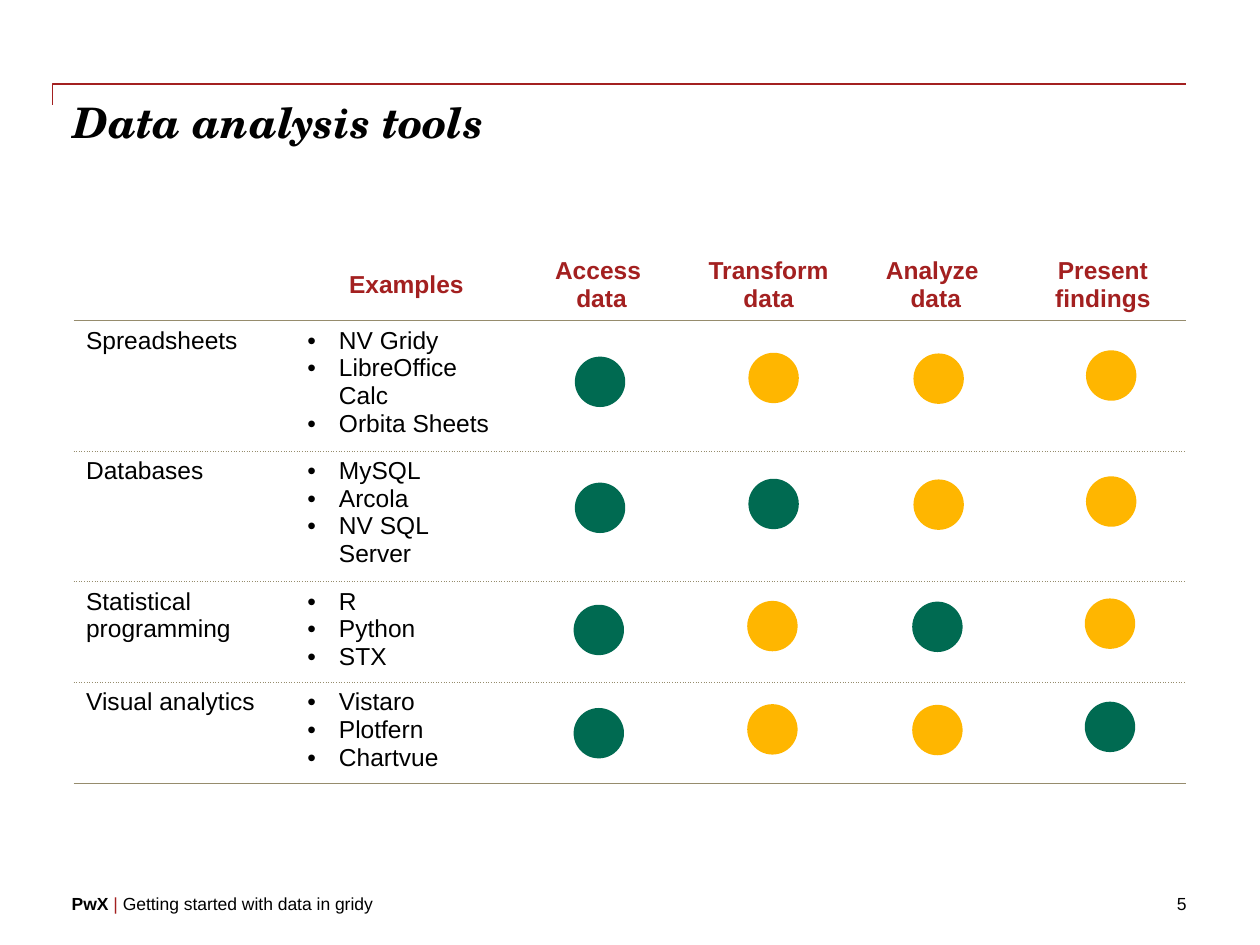
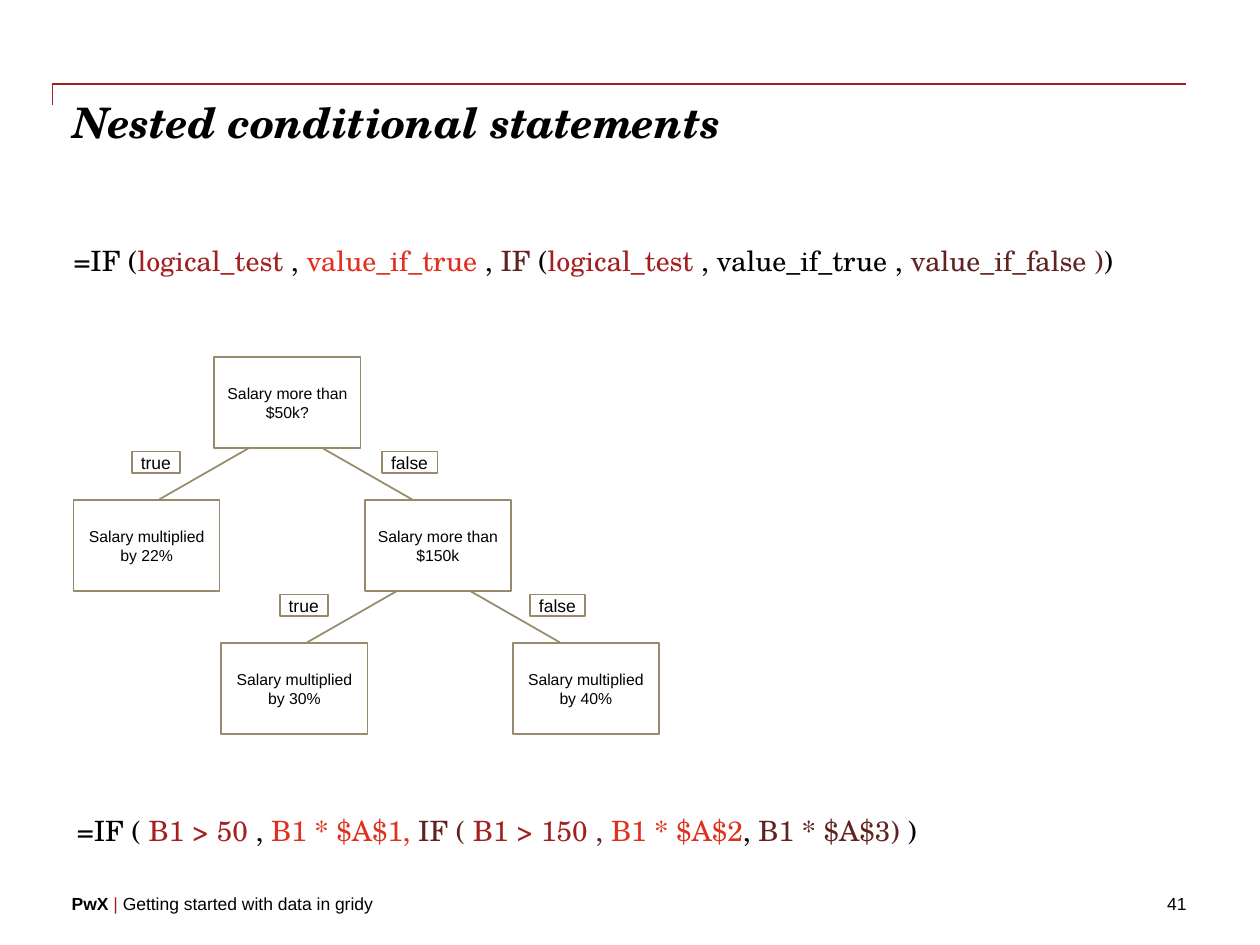
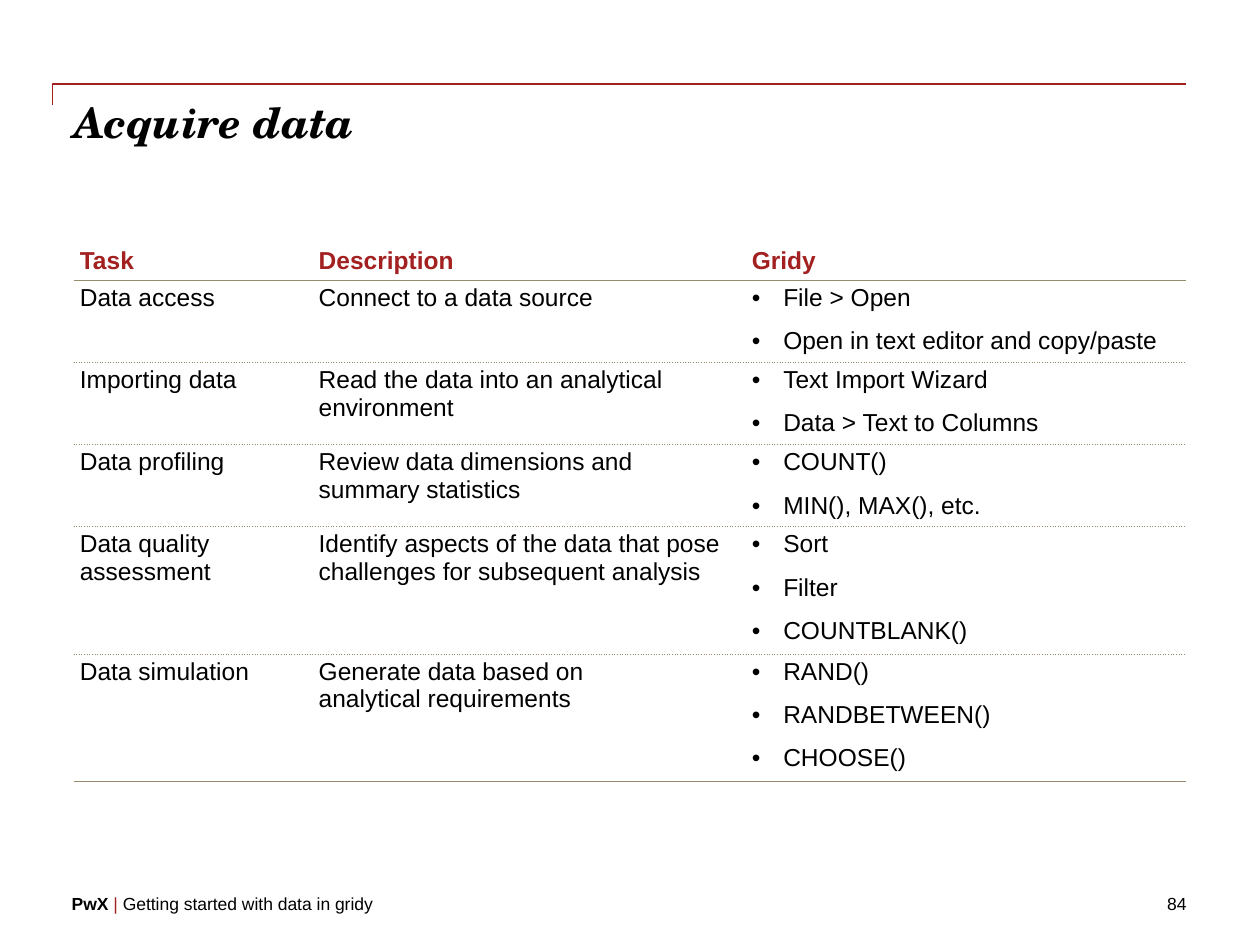
import itertools

import lxml.etree
import pptx
import pptx.dml.color
import pptx.enum.shapes
import pptx.enum.text
import pptx.oxml.ns
import pptx.util

Pt = pptx.util.Pt
qn = pptx.oxml.ns.qn
ALIGN = pptx.enum.text.PP_ALIGN
ANCHOR = pptx.enum.text.MSO_ANCHOR
AUTO_SIZE = pptx.enum.text.MSO_AUTO_SIZE
SHAPE = pptx.enum.shapes.MSO_SHAPE
CONNECTOR = pptx.enum.shapes.MSO_CONNECTOR

COLORS = {
    "text": "000000",
    "page": "FFFFFF",
    "red": "A32020",
    "orange": "E0301E",
    "maroon": "602320",
    "tan": "968C6D",
    "green": "006A51",
    "yellow": "FFB600",
}
SANS = "Arial"
SERIF = "TeX Gyre Schola"
NO_TABLE_STYLE = "{2D5ABB26-0587-4C30-8999-92F81FD0307C}"
TITLE_ONLY, TITLE_AND_BODY = 5, 1
LEFT, WIDTH = 42, 636


def rgb(name):
    return pptx.dml.color.RGBColor.from_string(COLORS[name])


def set_values(target, values):
    for name, value in values.items():
        setattr(target, name, value)


class Slides:
    def __init__(self):
        self.deck = pptx.Presentation()
        set_values(self.deck, {"slide_width": Pt(720), "slide_height": Pt(540)})
        self.page = None

    def start(self, title, number, layout=TITLE_ONLY):
        self.page = self.deck.slides.add_slide(self.deck.slide_layouts[layout])
        self.corner_rule()
        self.text((41, 510, 517, 12), [("PwX ", "text", True), ("| ", "red"),
                  ("Getting started with data in gridy", "text")], size=10)
        self.placeholder(0, (LEFT, 55, WIDTH, 29), [(title, "text", True)],
                         size=24, font=SERIF, italic=True)
        self.text((558, 510, 120, 12), [(str(number), "text")], size=10,
                  align=ALIGN.RIGHT)

    def line(self, start, end, color="tan", kind=CONNECTOR.STRAIGHT):
        line = self.page.shapes.add_connector(kind, *map(Pt, start + end))
        line.line.color.rgb = rgb(color)
        line.line.width = Pt(1)
        lxml.etree.SubElement(line._element.spPr, qn("a:effectLst"))
        return line

    def corner_rule(self):
        rule = self.line((360, 378), (348, -270), "red", CONNECTOR.ELBOW)
        properties = rule._element.spPr
        properties.find(qn("a:xfrm")).set("rot", "5400000")
        properties.find(qn("a:prstGeom")).set("prst", "bentConnector2")

    def style_span(self, span, color, bold, size, font, italic=None):
        set_values(span.font, {"name": font, "size": Pt(size), "bold": bold,
                               "italic": italic})
        span.font.color.rgb = rgb(color)

    def fill_frame(self, frame, spans, size, font=SANS, align=ALIGN.LEFT,
                   italic=None, anchor=ANCHOR.TOP, side=0, wrap=True,
                   grow=False, after=0):
        set_values(frame, {
            "margin_left": Pt(side), "margin_right": Pt(side),
            "margin_top": 0, "margin_bottom": 0, "word_wrap": wrap,
            "vertical_anchor": anchor,
            "auto_size": AUTO_SIZE.SHAPE_TO_FIT_TEXT if grow else AUTO_SIZE.NONE,
        })
        para = frame.paragraphs[0]
        set_values(para, {"alignment": align, "space_after": Pt(after)})
        for words, color, *bold in spans:
            span = para.add_run()
            span.text = words
            self.style_span(span, color, bool(bold), size, font, italic)
        return para

    def text(self, place, spans, **style):
        box = self.page.shapes.add_textbox(*map(Pt, place))
        self.fill_frame(box.text_frame, spans, **style)

    def placeholder(self, index, place, spans, **style):
        box = self.page.placeholders[index]
        set_values(box, dict(zip(("left", "top", "width", "height"),
                                 map(Pt, place))))
        para = self.fill_frame(box.text_frame, spans, grow=True, **style)
        properties = para._p.get_or_add_pPr()
        properties.set("marL", "0")
        properties.set("indent", "0")
        lxml.etree.SubElement(properties, qn("a:buNone"))
        para.space_before = Pt(0)

    def shape(self, kind, place, fill=None, line=None):
        shape = self.page.shapes.add_shape(kind, *map(Pt, place))
        shape.shadow.inherit = False
        if fill:
            shape.fill.solid()
            shape.fill.fore_color.rgb = rgb(fill)
        else:
            shape.fill.background()
        if line:
            shape.line.color.rgb = rgb(line)
            shape.line.width = Pt(1)
        else:
            shape.line.fill.background()
        return shape

    def framed_text(self, place, words, **style):
        box = self.shape(SHAPE.RECTANGLE, place, line="tan")
        self.fill_frame(box.text_frame, [(words, "text")], side=5,
                        anchor=ANCHOR.MIDDLE, **style)

    def border(self, cell, side, dash):
        edge = lxml.etree.SubElement(cell._tc.get_or_add_tcPr(),
                                     qn(f"a:{side}"), w=str(Pt(0.75)))
        fill = lxml.etree.SubElement(edge, qn("a:solidFill"))
        lxml.etree.SubElement(fill, qn("a:srgbClr"), val=COLORS["tan"])
        lxml.etree.SubElement(edge, qn("a:prstDash"), val=dash)

    def cell(self, cell, content, header, align, anchor, margins, after):
        side, edge = map(Pt, margins)
        set_values(cell, {"margin_left": side, "margin_right": side,
                          "margin_top": edge, "margin_bottom": edge,
                          "vertical_anchor": anchor})
        cell.fill.solid()
        cell.fill.fore_color.rgb = rgb("page")
        bulleted = isinstance(content, list)
        for index, words in enumerate(content if bulleted else [content]):
            frame = cell.text_frame
            para = frame.add_paragraph() if index else frame.paragraphs[0]
            para.text = words
            if bulleted:
                properties = para._p.get_or_add_pPr()
                properties.set("marL", str(Pt(18)))
                properties.set("indent", str(-Pt(18)))
                lxml.etree.SubElement(properties, qn("a:buFont"), typeface=SANS)
                lxml.etree.SubElement(properties, qn("a:buChar"), char="•")
            set_values(para, {"alignment": align, "space_after": Pt(after)})
            for span in para.runs:
                self.style_span(span, "red" if header else "text", header, 14, SANS)
            for line_break in para._p.findall(qn("a:br")):
                lxml.etree.SubElement(line_break, qn("a:rPr"), sz="1400")

    def table(self, top, widths, heights, rows, margins, after=0,
              header_align=ALIGN.LEFT, header_anchor=ANCHOR.TOP):
        frame = self.page.shapes.add_table(
            len(rows), len(widths), Pt(LEFT), Pt(top), Pt(WIDTH), Pt(sum(heights)))
        table = frame.table
        set_values(table, {"first_row": False, "horz_banding": False})
        table._tbl.tblPr.find(qn("a:tableStyleId")).text = NO_TABLE_STYLE
        for column, width in zip(table.columns, widths):
            column.width = Pt(width)
        last = len(rows) - 1
        for row, (height, contents) in enumerate(zip(heights, rows)):
            table.rows[row].height = Pt(height)
            header = row == 0
            align = header_align if header else ALIGN.LEFT
            anchor = header_anchor if header else ANCHOR.TOP
            for column, content in enumerate(contents):
                cell = table.cell(row, column)
                if not header:
                    self.border(cell, "lnT", "solid" if row == 1 else "sysDot")
                self.border(cell, "lnB", "solid" if row in (0, last) else "sysDot")
                self.cell(cell, content, header, align, anchor, margins, after)

    def branch(self, x, y):
        for side, start, end, label_x, width in (
                ("true", 19.5, -31.5, -47, 27.5), ("false", 62, 113, 96, 31.5)):
            self.line((x + start, y + 52.2), (x + end, y + 81.4))
            self.framed_text((x + label_x, y + 54, width, 12.2), side, size=10,
                             wrap=False, grow=True)


def tools_slide(slides):
    slides.start("Data analysis tools", 5)
    tools = {
        "Spreadsheets": ["NV Gridy", "LibreOffice Calc", "Orbita Sheets"],
        "Databases": ["MySQL", "Arcola", "NV SQL Server"],
        "Statistical programming": ["R", "Python", "STX"],
        "Visual analytics": ["Vistaro", "Plotfern", "Chartvue"],
    }
    header = ["", "Examples", "Access \ndata", "Transform data",
              "Analyze \ndata", "Present findings"]
    rows = [header] + [[kind, names] + [""] * 4 for kind, names in tools.items()]
    slides.table(142.5, [126.5, 127.5] + [95.5] * 4, [38.5, 70, 70, 54.3, 54.3],
                 rows, (7.2, 3.6), header_align=ALIGN.CENTER,
                 header_anchor=ANCHOR.MIDDLE)
    columns = [(328.5, 0, "GGGG"), (427.7, -2.2, "YGYY"),
               (522, -1.8, "YYGY"), (620.6, -3.6, "YYYG")]
    row_places = [(0, 203.8), (0, 275.8), (-0.7, 345.6), (-0.7, 404.6)]
    ratings = {"G": "green", "Y": "yellow"}
    for (x, rise, marks), (row, (shift, y)) in itertools.product(
            columns, enumerate(row_places)):
        slides.shape(SHAPE.OVAL, (x + shift, y + rise, 28.8, 28.8),
                     fill=ratings[marks[row]])


def conditions_slide(slides):
    slides.start("Nested conditional statements", 41, TITLE_AND_BODY)
    formula = {"size": 16, "font": SERIF, "after": 9}
    slides.placeholder(1, (LEFT, 139, WIDTH, 19.4), [
        ("=IF (", "text"), ("logical_test ", "red"), (", ", "text"),
        ("value_if_true", "orange"), (" , ", "text"), ("IF", "maroon"),
        (" (", "text"), ("logical_test", "red"), (" , value_if_true , ", "text"),
        ("value_if_false )", "maroon"), (")", "text")], **formula)
    slides.text((44, 465, WIDTH, 19.4), [
        ("=IF ( ", "text"), ("B1 > 50", "red"), (" , ", "text"),
        ("B1 * $A$1, ", "orange"), ("IF ( ", "maroon"), ("B1 > 150 ", "red"),
        (", ", "maroon"), ("B1 * $A$2", "orange"), (", ", "text"),
        ("B1 * $A$3)", "maroon"), (" )", "text")], grow=True, **formula)
    top, step = 204, 81.7
    nodes = [
        (122.5, 0, "Salary more than $50k?"),
        (208.5, 1, "Salary more than $150k"),
        (LEFT, 1, "Salary multiplied by 22%"),
        (293, 2, "Salary multiplied by 40%"),
        (126.5, 2, "Salary multiplied by 30%"),
    ]
    for x, level, words in nodes:
        slides.framed_text((x, top + level * step, 83.5, 52), words, size=9,
                           align=ALIGN.CENTER)
    for level, x in enumerate((122.5, 207)):
        slides.branch(x, top + level * step)


def acquire_slide(slides):
    slides.start("Acquire data", 84)
    rows = [
        ["Task", "Description", "Gridy"],
        ["Data access", "Connect to a data source",
         ["File > Open", "Open in text editor and copy/paste"]],
        ["Importing data", "Read the data into an analytical environment",
         ["Text Import Wizard", "Data > Text to Columns"]],
        ["Data profiling", "Review data dimensions and summary statistics",
         ["COUNT()", "MIN(), MAX(), etc."]],
        ["Data quality assessment",
         "Identify aspects of the data that pose challenges for subsequent analysis",
         ["Sort", "Filter", "COUNTBLANK()"]],
        ["Data simulation", "Generate data based on \nanalytical requirements",
         ["RAND()", "RANDBETWEEN()", "CHOOSE()"]],
    ]
    slides.table(139, [136.5, 247.5, 252], [20] + [44.8] * 3 + [69.4] * 2, rows,
                 (3.6, 2.16), after=9)


def main():
    slides = Slides()
    tools_slide(slides)
    conditions_slide(slides)
    acquire_slide(slides)
    slides.deck.save("out.pptx")


if __name__ == "__main__":
    main()
